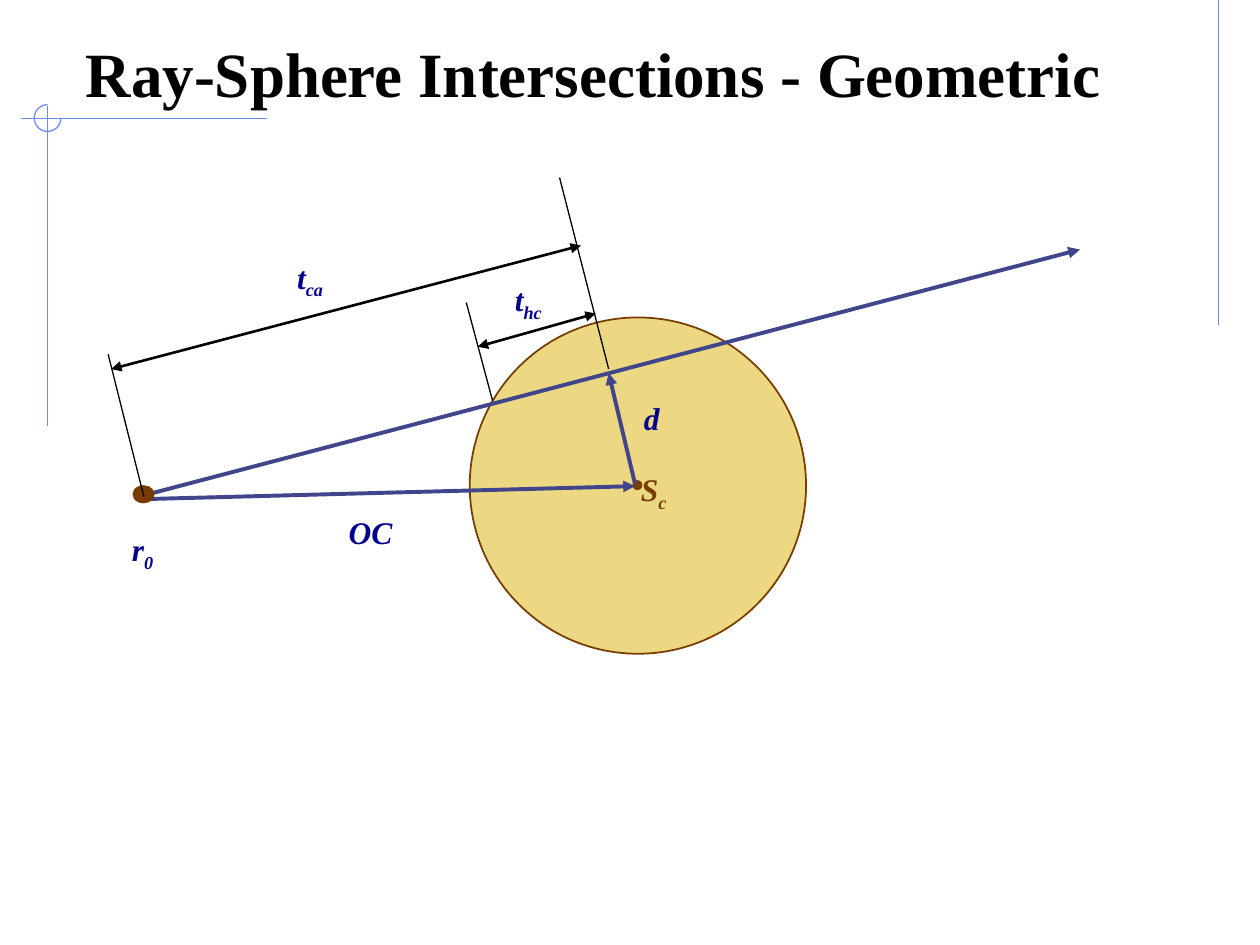
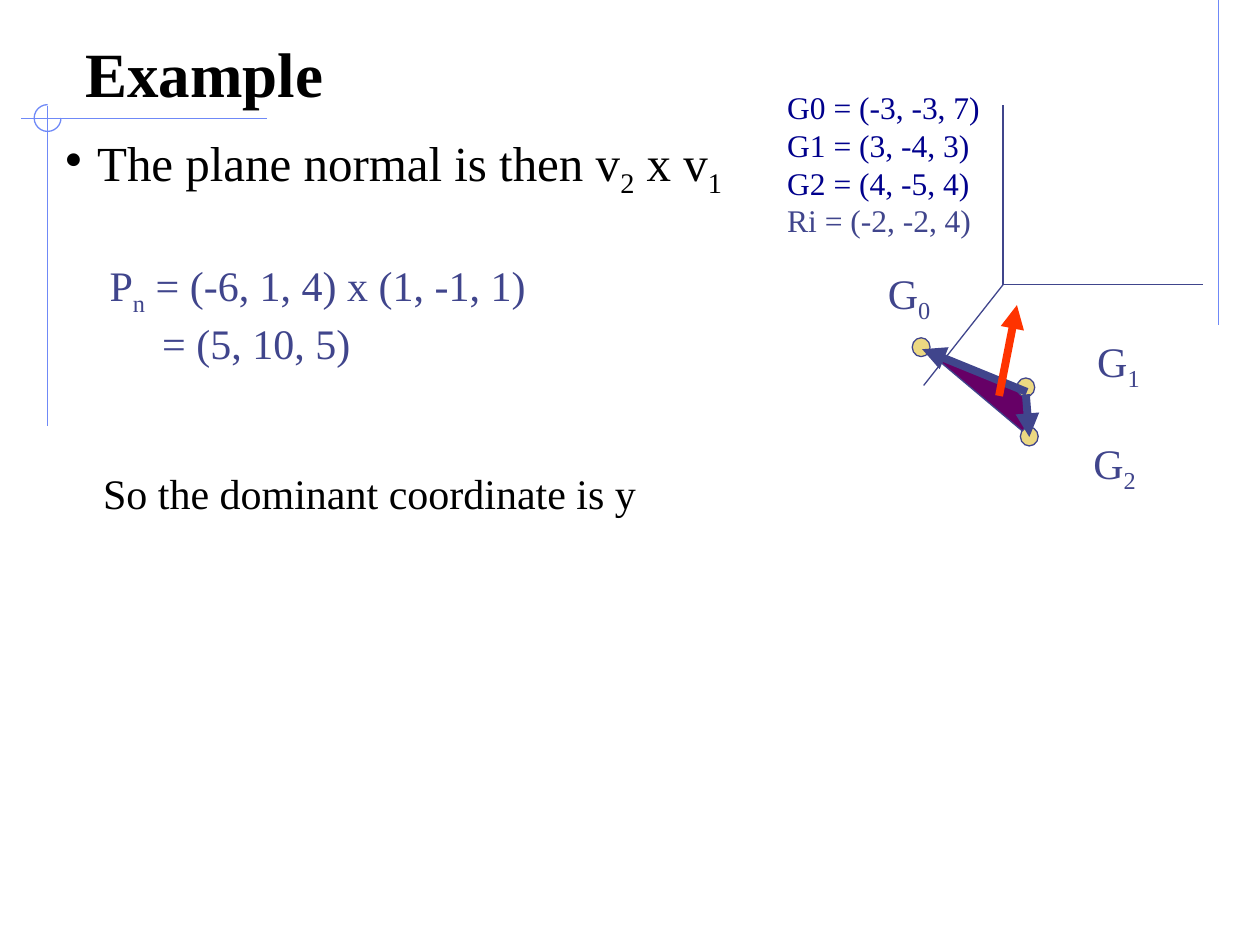
from lxml.etree import SubElement
from pptx import Presentation
from pptx.dml.color import RGBColor
from pptx.enum.shapes import MSO_CONNECTOR, MSO_SHAPE as Shape
from pptx.enum.text import MSO_ANCHOR as Anchor, MSO_AUTO_SIZE as AutoSize, PP_ALIGN as Align
from pptx.oxml.ns import qn
from pptx.util import Cm, Pt

FONT = "Times New Roman"
BLACK = RGBColor(0x00, 0x00, 0x00)
NAVY = RGBColor(0x00, 0x00, 0x8C)
SLATE = RGBColor(0x40, 0x45, 0x8C)
PERIWINKLE = RGBColor(0x6F, 0x89, 0xF7)
SAND = RGBColor(0xEC, 0xD8, 0x82)
BROWN = RGBColor(0x78, 0x3C, 0x00)
PURPLE = RGBColor(0x66, 0x00, 0x66)
ORANGE = RGBColor(0xFF, 0x33, 0x00)

TITLE_FORMAT = {"name": FONT, "size": Pt(36), "bold": True}
LABEL_FORMAT = {"name": FONT, "size": Pt(18), "bold": True, "italic": True}
COORDINATE_FORMAT = {"name": FONT, "size": Pt(18)}
MATH_FORMAT = {"name": FONT, "size": Pt(24)}
BULLET_FORMAT = {"name": FONT, "size": Pt(28)}


def add_line(slide, points, color, width, ends=()):
    """Draw a line through (x1, y1, x2, y2) in cm; ends names the arrowheads."""
    line = slide.shapes.add_connector(MSO_CONNECTOR.STRAIGHT, *map(Cm, points))
    line.line.color.rgb = color
    line.line.width = Pt(width)
    for end in ends:
        SubElement(line.line._get_or_add_ln(), qn(f"a:{end}"), type="triangle")
    SubElement(line._element.spPr, qn("a:effectLst"))


def add_text(slide, box, lines, font_format, spacing=None):
    """Add (text, color) lines; text between underscores becomes a subscript."""
    frame = slide.shapes.add_textbox(*map(Cm, box)).text_frame
    frame.word_wrap = True
    for index, (text, color) in enumerate(lines):
        paragraph = frame.paragraphs[0] if index == 0 else frame.add_paragraph()
        paragraph.line_spacing = spacing
        for part, piece in enumerate(text.split("_")):
            if not piece:
                continue
            run = paragraph.add_run()
            run.text = piece
            for name, value in font_format.items():
                setattr(run.font, name, value)
            run.font.color.rgb = color
            if part % 2:
                run._r.get_or_add_rPr().set("baseline", "-25000")
    return frame


presentation = Presentation()
presentation.slide_width = Cm(25.4)
presentation.slide_height = Cm(19.05)
title_only = presentation.slide_layouts[5]

# Shared title and corner lines
slides = []
for heading in ("Ray-Sphere Intersections - Geometric", "Example"):
    slide = presentation.slides.add_slide(title_only)
    slides.append(slide)
    title = slide.shapes.title
    title.left, title.top, title.width, title.height = map(Cm, (1.47, 0.64, 22.43, 1.7))
    frame = title.text_frame
    frame.text = heading
    frame.auto_size = AutoSize.NONE
    frame.vertical_anchor = Anchor.BOTTOM
    paragraph = frame.paragraphs[0]
    paragraph.alignment = Align.LEFT
    for name, value in TITLE_FORMAT.items():
        setattr(paragraph.font, name, value)
    paragraph.font.color.rgb = BLACK

    for points in ((24.56, 0, 24.56, 6.55), (5.38, 2.39, 0.43, 2.39), (0.96, 2.13, 0.96, 8.59)):
        add_line(slide, points, PERIWINKLE, 0.75)
    arc = slide.shapes.add_shape(Shape.ARC, *map(Cm, (0.69, 2.11, 0.54, 0.54)))
    arc.adjustments[0] = 0
    arc.adjustments[1] = 162  # 270 degrees in units of 100000 / 60000
    arc.fill.background()
    arc.line.color.rgb = PERIWINKLE
    arc.line.width = Pt(0.75)
    arc.shadow.inherit = False

geometry, example = slides
filled_shapes = []  # (shape, fill, line color, line width)

# Slide 1: sphere, ray and distances
sphere = geometry.shapes.add_shape(Shape.OVAL, *map(Cm, (9.47, 6.4, 6.78, 6.78)))
center = geometry.shapes.add_shape(Shape.OVAL, *map(Cm, (12.75, 9.68, 0.2, 0.2)))
for points in (
    (2.92, 9.98, 21.77, 5.03),  # ray
    (2.97, 10.06, 12.8, 9.8),  # OC
    (12.8, 9.75, 12.27, 7.52),  # d
):
    add_line(geometry, points, SLATE, 2.25, ["tailEnd"])
origin = geometry.shapes.add_shape(Shape.OVAL, *map(Cm, (2.69, 9.8, 0.41, 0.33)))
filled_shapes += [
    (sphere, SAND, BROWN, 1),
    (center, BROWN, None, 0),
    (origin, BROWN, BROWN, 1),
]

for points in ((2.24, 7.44, 11.71, 4.95), (9.63, 6.99, 12.01, 6.32)):
    add_line(geometry, points, BLACK, 1.5, ["headEnd", "tailEnd"])
for points in (
    (2.9, 10.01, 2.18, 7.14),
    (12.27, 7.44, 11.28, 3.58),
    (9.93, 8.08, 9.4, 6.1),
):
    add_line(geometry, points, BLACK, 0.75)

for text, left, top, color, spacing in (
    ("d", 12.73, 7.92, NAVY, None),
    ("S_c_", 12.67, 9.35, BROWN, None),
    ("r_0_", 2.41, 10.64, NAVY, 0.8),
    ("t_ca_", 5.74, 5.08, NAVY, 0.9),
    ("t_hc_", 10.13, 5.54, NAVY, 0.9),
    ("OC", 6.78, 10.21, NAVY, None),
):
    add_text(geometry, (left, top, 1.5, 1), [(text, color)], LABEL_FORMAT, spacing)

# Slide 2: text
bullet = add_text(example, (1.07, 2.54, 23.29, 15.67),
                  [("The plane normal is then v_2_ x v_1_", BLACK)], BULLET_FORMAT)
properties = bullet.paragraphs[0]._p.get_or_add_pPr()
properties.set("marL", str(Cm(0.64)))
properties.set("indent", str(Cm(-0.64)))
SubElement(properties, qn("a:buChar"), char="•")

normal = add_text(example, (1.96, 5.11, 9.2, 2.44),
                  [("P_n_ = (-6, 1, 4) x (1, -1, 1)", SLATE), ("= (5, 10, 5)", SLATE)],
                  MATH_FORMAT)
normal.paragraphs[1]._p.get_or_add_pPr().set("marL", str(Cm(1.06)))
add_text(example, (1.83, 9.3, 11.6, 1.27),
         [("So the dominant coordinate is y", BLACK)], MATH_FORMAT)
add_text(example, (15.62, 1.65, 4.6, 3.3),
         [("G0 = (-3, -3, 7)", NAVY), ("G1 = (3, -4, 3)", NAVY),
          ("G2 = (4, -5, 4)", NAVY), ("Ri = (-2, -2, 4)", SLATE)],
         COORDINATE_FORMAT)

# Slide 2: triangle on three axes
builder = example.shapes.build_freeform(Cm(18.59), Cm(6.99))
builder.add_line_segments([(Cm(20.7), Cm(7.87)), (Cm(20.73), Cm(8.79))], close=True)
filled_shapes.append((builder.convert_to_shape(), PURPLE, SLATE, 0.75))

for axis_end in ((20.22, 2.11), (24.26, 5.74), (18.62, 7.77)):
    add_line(example, (20.22, 5.74, *axis_end), SLATE, 0.75)

for index, (vertex_place, label_place) in enumerate((
    ((18.39, 6.81), (17.65, 5.26)),
    ((20.5, 7.62), (21.87, 6.63)),
    ((20.57, 8.61), (21.79, 8.69)),
)):
    vertex = example.shapes.add_shape(Shape.OVAL, *map(Cm, (*vertex_place, 0.36, 0.38)))
    filled_shapes.append((vertex, SAND, SLATE, 0.75))
    add_text(example, (*label_place, 1.6, 1.42), [(f"G_{index}_", SLATE)], MATH_FORMAT)

for points, color in (
    ((20.7, 7.9, 18.59, 7.04), SLATE),
    ((20.68, 7.95, 20.75, 8.81), SLATE),
    ((20.14, 7.98, 20.5, 6.15), ORANGE),
):
    add_line(example, points, color, 4.5, ["tailEnd"])

for shape, fill, line_color, line_width in filled_shapes:
    shape.shadow.inherit = False
    shape.fill.solid()
    shape.fill.fore_color.rgb = fill
    if line_color is None:
        shape.line.fill.background()
    else:
        shape.line.color.rgb = line_color
        shape.line.width = Pt(line_width)

presentation.save("out.pptx")
